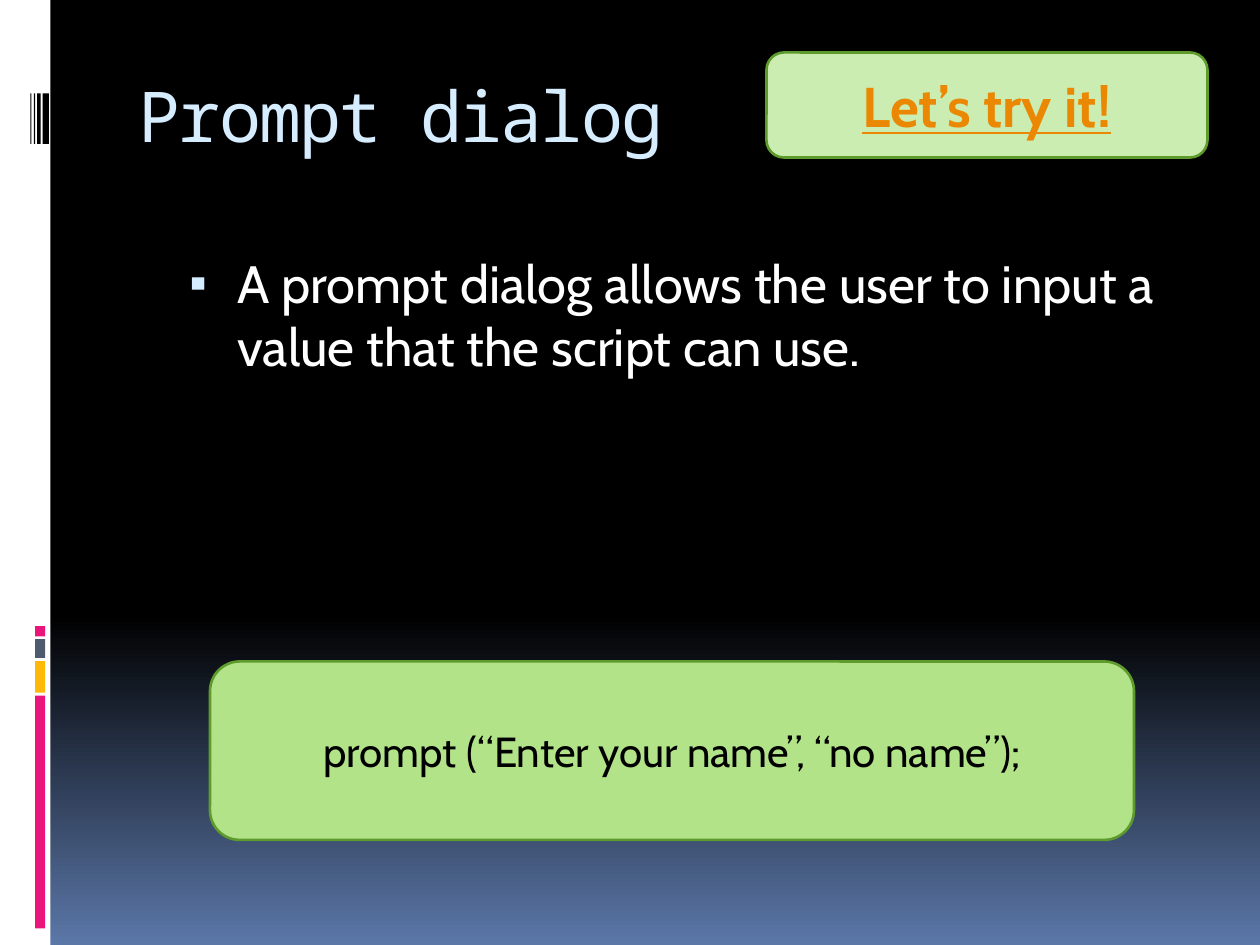
import pptx
import pptx.util
import pptx.dml.color
import pptx.enum.shapes
import pptx.enum.text
import lxml.etree
from pptx.oxml.ns import qn

Pt = pptx.util.Pt
Shape = pptx.enum.shapes.MSO_SHAPE
Anchor = pptx.enum.text.MSO_ANCHOR
Align = pptx.enum.text.PP_ALIGN

HUES = {
    "black": "000000", "white": "FFFFFF", "blue": "5B77A8", "pale": "D6ECFF",
    "pink": "EA157A", "gold": "FEB80A", "slate": "4E5B6F",
    "mint": "CCEDB1", "green": "B2E389", "edge": "5E9B2C", "link": "EB8803",
}
SANS, MONO = "Cabin", "Noto Sans Mono"


def hue(name):
    return pptx.dml.color.RGBColor.from_string(HUES[name])


def place(shape, box):
    shape.left, shape.top, shape.width, shape.height = map(Pt, box)


def write(frame, text, face, size, color):
    """Fill the frame with one paragraph and return it."""
    frame.text = text
    frame.word_wrap = True
    frame.auto_size = pptx.enum.text.MSO_AUTO_SIZE.NONE
    para = frame.paragraphs[0]
    font = para.runs[0].font
    font.name, font.size = face, Pt(size)
    font.color.rgb = hue(color)
    return para


def add_block(slide, kind, box, fill):
    shape = slide.shapes.add_shape(kind, *map(Pt, box))
    shape.shadow.inherit = False
    shape.fill.solid()
    shape.fill.fore_color.rgb = hue(fill)
    shape.line.fill.background()
    return shape


def paint_back(slide):
    fill = slide.background.fill
    fill.gradient()
    fill.gradient_angle = 270
    for stop, (pos, name) in zip(fill.gradient_stops,
                                 [(0.65, "black"), (1, "blue")]):
        stop.position = pos
        stop.color.rgb = hue(name)


def add_strip(slide, box):
    left, top, width, height = box
    add_block(slide, Shape.RECTANGLE, box, "white")
    # Coloured bars, stacked downwards
    for down, tall, name in [(357.8, 5.8, "pink"), (365.2, 10.8, "slate"),
                             (377.8, 18, "gold"), (397.6, 133, "pink")]:
        add_block(slide, Shape.RECTANGLE,
                  (left + 20, top + down, 5.8, tall), name)
    # Barcode lines, thin to thick
    for over, wide in [(17.4, 0.6), (19.4, 0.8), (21.2, 2), (24.4, 3.6)]:
        add_block(slide, Shape.RECTANGLE,
                  (left + over, top + 53.4, wide, 28.8), "black")


def add_title(slide, box, text):
    title = slide.shapes.title
    place(title, box)
    frame = title.text_frame
    para = write(frame, text, MONO, 40, "pale")
    frame.vertical_anchor = Anchor.TOP
    frame.margin_top = Pt(1)
    para.alignment = Align.LEFT
    para.runs[0].font._element.set("spc", "-100")


def add_list(slide, box, text):
    body = slide.placeholders[1]
    place(body, box)
    para = write(body.text_frame, text, SANS, 30, "white")
    para.space_before = Pt(7)
    # Square bullet with a hanging indent
    props = para._p.get_or_add_pPr()
    props.set("marL", str(Pt(32.4)))
    props.set("indent", str(-Pt(27.4)))
    color = lxml.etree.SubElement(props, qn("a:buClr"))
    lxml.etree.SubElement(color, qn("a:srgbClr"), val=HUES["pale"])
    lxml.etree.SubElement(props, qn("a:buSzPct"), val="95000")
    lxml.etree.SubElement(props, qn("a:buChar"), char="▪")


def add_card(slide, box, text, fill, size, color):
    card = add_block(slide, Shape.ROUNDED_RECTANGLE, box, fill)
    card.line.color.rgb = hue("edge")
    card.line.width = Pt(1.5)
    para = write(card.text_frame, text, SANS, size, color)
    card.text_frame.vertical_anchor = Anchor.MIDDLE
    para.alignment = Align.CENTER
    return para.runs[0].font


def main():
    deck = pptx.Presentation()
    deck.slide_width, deck.slide_height = Pt(720), Pt(540)
    slide = deck.slides.add_slide(deck.slide_layouts[1])

    paint_back(slide)
    add_strip(slide, (0, 0, 28.8, 540))
    add_title(slide, (72, 40.3, 612, 72), "Prompt dialog")
    add_list(slide, (96, 139.7, 588, 346.3),
             "A prompt dialog allows the user to input a value "
             "that the script can use.")

    # Call to action, then the code sample
    font = add_card(slide, (438, 30, 252, 60), "Let’s try it!",
                    "mint", 32, "link")
    font.bold = font.underline = True
    add_card(slide, (120, 378, 528, 102),
             "prompt (“Enter your name”, “no name”);",
             "green", 24, "black")
    deck.save("out.pptx")


if __name__ == "__main__":
    main()
